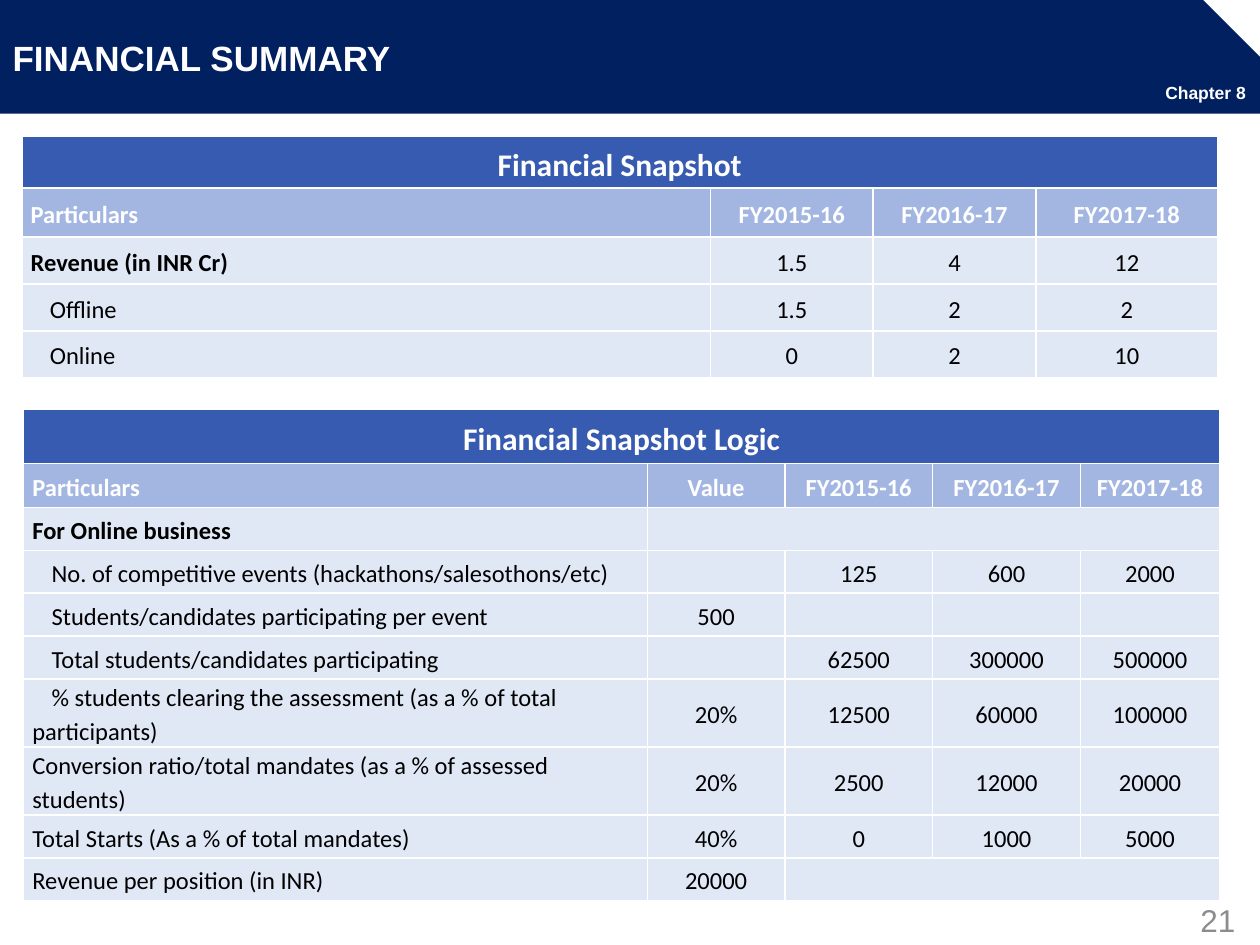
from pptx import Presentation, util as u
from pptx.dml.color import RGBColor
from pptx.enum import shapes, text
from pptx.oxml import parse_xml
from pptx.oxml.ns import nsdecls

Pt = u.Pt
COLORS = {"navy": "002060", "heading": "375BB0", "columns": "A3B6E2", "body": "E0E7F5",
          "white": "FFFFFF", "black": "000000", "grey": "8C8C8C"}
LEFT, CENTER = text.PP_ALIGN.LEFT, text.PP_ALIGN.CENTER
YEARS = ["FY2015-16", "FY2016-17", "FY2017-18"]
SAME = None  # cell joined to the one on its left
INDENTED = {"Offline", "Online", "No. of competitive events (hackathons/salesothons/etc)",
            "Students/candidates participating per event",
            "Total students/candidates participating",
            "% students clearing the assessment (as a % of total participants)"}
BOLD = {"Revenue (in INR Cr)", "For Online business"}

SNAPSHOT = [
    ["Financial Snapshot", SAME, SAME, SAME],
    ["Particulars", *YEARS],
    ["Revenue (in INR Cr)", "1.5", "4", "12"],
    ["Offline", "1.5", "2", "2"],
    ["Online", "0", "2", "10"],
]
LOGIC = [
    ["Financial Snapshot Logic", SAME, SAME, SAME, SAME],
    ["Particulars", "Value", *YEARS],
    ["For Online business", "", SAME, SAME, SAME],
    ["No. of competitive events (hackathons/salesothons/etc)", "", "125", "600", "2000"],
    ["Students/candidates participating per event", "500", "", "", ""],
    ["Total students/candidates participating", "", "62500", "300000", "500000"],
    ["% students clearing the assessment (as a % of total participants)",
     "20%", "12500", "60000", "100000"],
    ["Conversion ratio/total mandates (as a % of assessed students)",
     "20%", "2500", "12000", "20000"],
    ["Total Starts (As a % of total mandates)", "40%", "0", "1000", "5000"],
    ["Revenue per position (in INR)", "20000", "", SAME, SAME],
]


def apply(target, values):
    """Set every attribute in a dict of format values."""
    for name, value in values.items():
        setattr(target, name, value)


def write(frame, words, size, color, font="Arial", bold=False, align=LEFT):
    """Write one formatted run in a text frame and return its paragraph."""
    paragraph = frame.paragraphs[0]
    paragraph.alignment = align
    run = paragraph.add_run()
    run.text = words
    apply(run.font, {"size": Pt(size), "name": font, "bold": bold})
    run.font.color.rgb = RGBColor.from_string(COLORS[color])
    return paragraph


def add_label(slide, box, words, size, color, **style):
    """Place a single-line text box."""
    label = slide.shapes.add_textbox(*map(Pt, box))
    label.text_frame.word_wrap = False
    write(label.text_frame, words, size, color, **style)


def add_header(slide, box, title_words, chapter):
    """Build the snipped banner with its title and chapter label."""
    left, top, width, height = box
    banner = slide.shapes.add_shape(shapes.MSO_SHAPE.SNIP_1_RECTANGLE, *map(Pt, box))
    banner.adjustments[0] = 0.5
    banner.shadow.inherit = False
    banner.fill.solid()
    banner.fill.fore_color.rgb = RGBColor.from_string(COLORS["navy"])
    banner.line.fill.background()
    title = slide.shapes.title
    title._element.addprevious(banner._element)
    apply(title, {"left": Pt(left), "top": Pt(top),
                  "width": Pt(width - 35), "height": Pt(height + 1)})
    apply(title.text_frame, {"vertical_anchor": text.MSO_ANCHOR.MIDDLE, "word_wrap": True})
    write(title.text_frame, title_words, 20, "white", bold=True)
    add_label(slide, (left + width - 48 - 0.2 - 13, top + 43.2, 61.2, 19.4),
              chapter, 10, "white", bold=True)


def add_borders(cell):
    """Give a cell thin white borders on all sides."""
    properties = cell._tc.get_or_add_tcPr()
    for position, side in enumerate(("lnL", "lnR", "lnT", "lnB")):
        properties.insert(position, parse_xml(
            f'<a:{side} {nsdecls("a")} w="12700"><a:solidFill>'
            f'<a:srgbClr val="{COLORS["white"]}"/></a:solidFill></a:{side}>'))


def format_cell(cell, words, row, column):
    """Fill, border and write one cell according to its place in the table."""
    apply(cell, {"margin_left": Pt(5), "margin_right": Pt(5), "margin_top": 0,
                 "margin_bottom": 0, "vertical_anchor": text.MSO_ANCHOR.MIDDLE})
    cell.fill.solid()
    fill = ("heading", "columns", "body")[min(row, 2)]
    cell.fill.fore_color.rgb = RGBColor.from_string(COLORS[fill])
    add_borders(cell)
    if not words:
        cell.text_frame.paragraphs[0]._p.get_or_add_endParaRPr().set("sz", "1400")
        return
    paragraph = write(cell.text_frame, words, 18 if row == 0 else 14,
                      "white" if row < 2 else "black", font="Calibri",
                      bold=row < 2 or words in BOLD,
                      align=LEFT if column == 0 and row else CENTER)
    paragraph.line_spacing = 1.15
    if words in INDENTED:
        paragraph._p.get_or_add_pPr().set("indent", str(Pt(11)))


def add_financial_table(slide, left, top, widths, heights, rows):
    """Build a table with a heading row, a column row and body rows."""
    table = slide.shapes.add_table(len(rows), len(widths), Pt(left), Pt(top),
                                   Pt(sum(widths)), Pt(sum(heights))).table
    for column, width in zip(table.columns, widths):
        column.width = Pt(width)
    for row, height in zip(table.rows, heights):
        row.height = Pt(height)
    for r, row in enumerate(rows):
        for c, words in enumerate(row):
            format_cell(table.cell(r, c), words, r, c)
        joined = row.count(SAME)
        if joined:
            last = len(row) - 1
            table.cell(r, last - joined).merge(table.cell(r, last))


def main():
    """Build and save the slide."""
    presentation = Presentation()
    apply(presentation, {"slide_width": Pt(720), "slide_height": Pt(540)})
    slide = presentation.slides.add_slide(presentation.slide_layouts[5])
    add_header(slide, (0, 0, 720, 65), "FINANCIAL SUMMARY", "Chapter 8")
    add_label(slide, (671.8, 511.2, 48.2, 28.8), "21", 18, "grey", align=CENTER)
    add_financial_table(slide, 12.5, 78, [393.5, 93, 93, 104],
                        [29.5, 28, 26.8, 26.8, 26.8], SNAPSHOT)
    add_financial_table(slide, 13.5, 234, [356.5, 78.5, 84.5, 84.5, 79.5],
                        [31, 25] + [24.5] * 4 + [38.9] * 2 + [24.5] * 2, LOGIC)
    presentation.save("out.pptx")


main()
